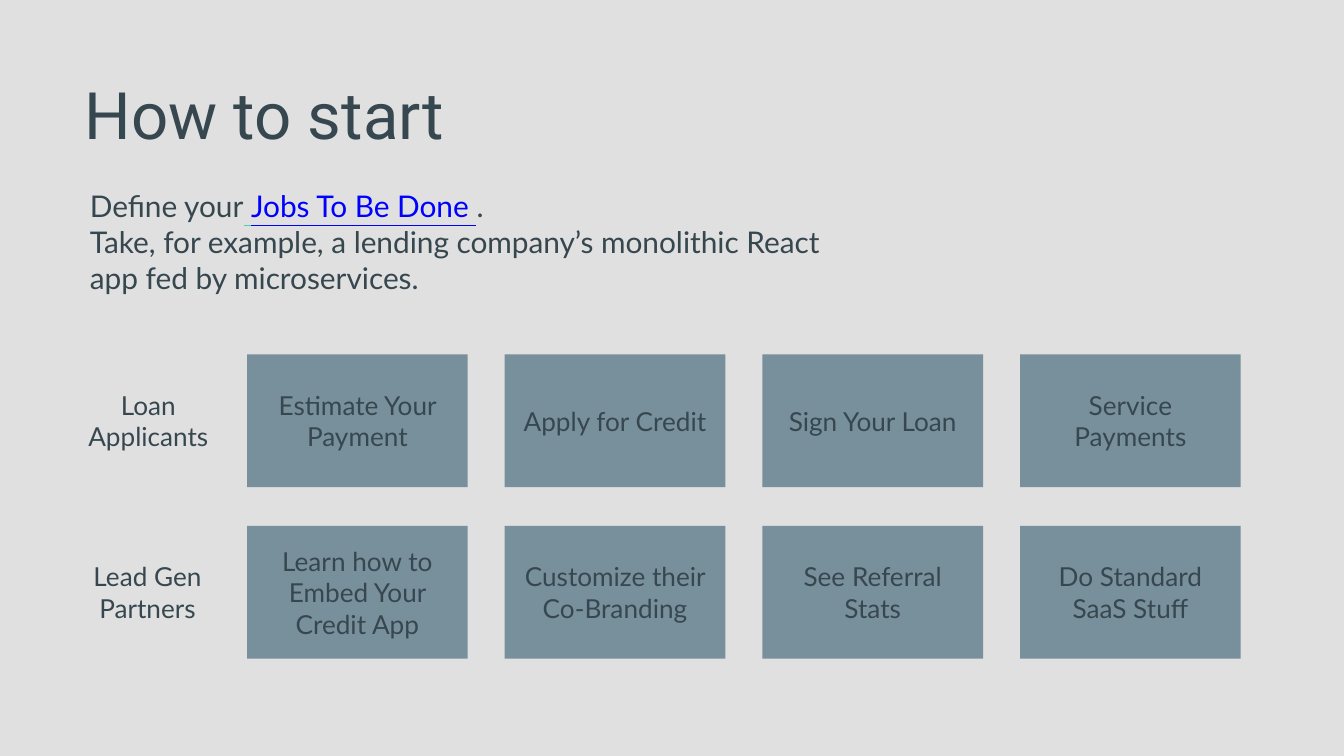
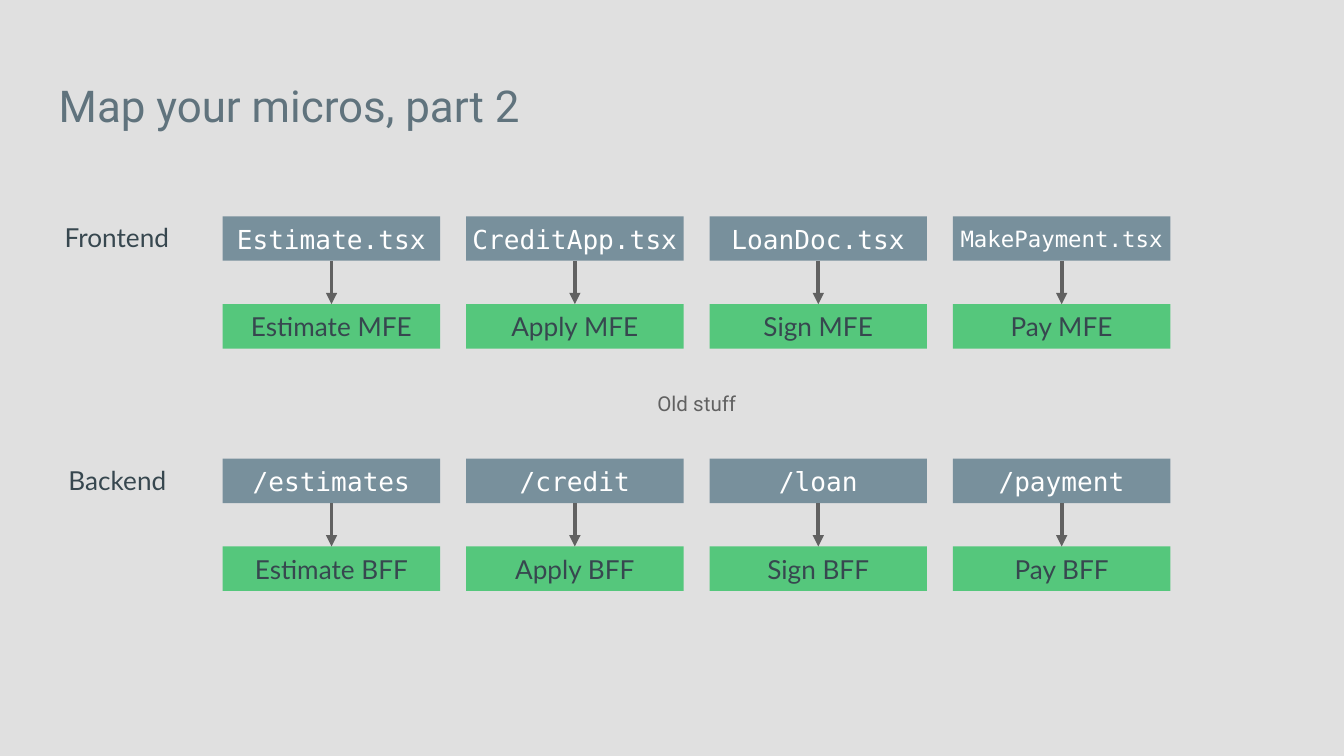
import pptx
import pptx.dml.color
import pptx.enum.shapes
import pptx.enum.text
import pptx.oxml
import pptx.oxml.ns
import pptx.util
from pptx.dml.color import RGBColor
from pptx.enum.text import MSO_ANCHOR, PP_ALIGN
from pptx.util import Cm

PAPER = RGBColor(0xE0, 0xE0, 0xE0)
INK = RGBColor(0x37, 0x47, 0x4F)
SOFT_INK = RGBColor(0x60, 0x73, 0x7D)
STEEL = RGBColor(0x78, 0x90, 0x9C)
GREEN = RGBColor(0x55, 0xC7, 0x7C)
MINT = RGBColor(0x50, 0xCC, 0xAE)
LINK_BLUE = RGBColor(0x00, 0x00, 0xFF)
GREY = RGBColor(0x61, 0x61, 0x61)
WHITE = RGBColor(0xFF, 0xFF, 0xFF)

TEXT_FONT = "Lato"
TITLE_FONT = "Roboto"
CODE_FONT = "DejaVu Sans Mono"
PADDING = 0.25

JOB_ROWS = [
    (["Loan", "Applicants"], 1.55, 2.51,
     ["Estimate Your Payment", "Apply for Credit", "Sign Your Loan", "Service Payments"]),
    (["Lead Gen", "Partners"], 1.7, 2.18,
     ["Learn how to Embed Your Credit App", "Customize their Co-Branding",
      "See Referral Stats", "Do Standard SaaS Stuff"]),
]
LAYERS = [
    ("Frontend", 1.12, 2.18, 4.09, "MFE",
     ["Estimate.tsx", "CreditApp.tsx", "LoanDoc.tsx", "MakePayment.tsx"]),
    ("Backend", 1.19, 2.06, 8.67, "BFF",
     ["/estimates", "/credit", "/loan", "/payment"]),
]
ACTIONS = ["Estimate", "Apply", "Sign", "Pay"]


def write_text(frame, lines, size=14, font=TEXT_FONT, color=INK, align=PP_ALIGN.CENTER,
               anchor=MSO_ANCHOR.MIDDLE, padding=0, wrap=True):
    frame.auto_size = pptx.enum.text.MSO_AUTO_SIZE.NONE
    frame.word_wrap = wrap
    frame.vertical_anchor = anchor
    frame.margin_left = frame.margin_right = Cm(padding)
    frame.margin_top = frame.margin_bottom = Cm(padding)
    for index, line in enumerate(lines):
        para = frame.add_paragraph() if index else frame.paragraphs[0]
        para.alignment = align
        para.space_before = pptx.util.Pt(0)
        spans = [(line, color, None)] if isinstance(line, str) else line
        for text, span_color, underline in spans:
            span = para.add_run()
            span.text = text
            span.font.size = pptx.util.Pt(size)
            span.font.name = font
            span.font.color.rgb = span_color
            span.font.underline = underline


def place(shape, left, top, width, height):
    shape.left, shape.top = Cm(left), Cm(top)
    shape.width, shape.height = Cm(width), Cm(height)


def set_title(page, text, position, **style):
    title = page.shapes.title
    place(title, *position)
    write_text(title.text_frame, [text], font=TITLE_FONT, align=PP_ALIGN.LEFT,
               padding=PADDING, **style)


def set_body(page, lines, position):
    body = page.placeholders[1]
    place(body, *position)
    write_text(body.text_frame, lines, size=16, align=PP_ALIGN.LEFT,
               anchor=MSO_ANCHOR.TOP, padding=PADDING)
    for para in body.text_frame.paragraphs:
        properties = para._p.get_or_add_pPr()
        properties.set("marL", "0")
        properties.set("indent", "0")
        properties.append(pptx.oxml.parse_xml(
            "<a:buNone %s/>" % pptx.oxml.ns.nsdecls("a")))


def add_label(page, lines, left, top, width, height, **style):
    label = page.shapes.add_textbox(Cm(left), Cm(top), Cm(width), Cm(height))
    write_text(label.text_frame, lines, anchor=MSO_ANCHOR.TOP, wrap=False, **style)


def add_box(page, text, left, top, width, height, fill, **style):
    box = page.shapes.add_shape(pptx.enum.shapes.MSO_SHAPE.RECTANGLE,
                                Cm(left), Cm(top), Cm(width), Cm(height))
    box.shadow.inherit = False
    box.fill.solid()
    box.fill.fore_color.rgb = fill
    box.line.fill.background()
    write_text(box.text_frame, [text], **style)
    return box


def add_arrow(page, upper, lower):
    arrow = page.shapes.add_connector(pptx.enum.shapes.MSO_CONNECTOR.STRAIGHT, 0, 0, 0, 0)
    arrow.begin_connect(upper, 2)
    arrow.end_connect(lower, 0)
    arrow.line.color.rgb = GREY
    arrow.line.width = pptx.util.Pt(2)
    namespace = pptx.oxml.ns.nsdecls("a")
    arrow.line._get_or_add_ln().append(
        pptx.oxml.parse_xml('<a:tailEnd %s type="triangle"/>' % namespace))
    arrow._element.spPr.append(pptx.oxml.parse_xml("<a:effectLst %s/>" % namespace))


def build_start(deck):
    page = deck.slides.add_slide(deck.slide_layouts[1])
    set_title(page, "How to start", (1.35, 0.2, 17.3, 3.89), size=35)
    set_body(page, [
        [("Define your", INK, None), (" ", MINT, True),
         ("Jobs To Be Done ", LINK_BLUE, True), (".", INK, None)],
        "Take, for example, a lending company’s monolithic React app fed by microservices.",
    ], (1.45, 3.3, 14.63, 2.51))
    for row, (people, left, width, jobs) in enumerate(JOB_ROWS):
        top = 6.7 + 3.24 * row
        add_label(page, people, left, top + 0.66, width, 1.19)
        for column, job in enumerate(jobs):
            add_box(page, job, 4.67 + 4.87 * column, top, 4.17, 2.51, STEEL, padding=PADDING)


def build_map(deck):
    page = deck.slides.add_slide(deck.slide_layouts[5])
    set_title(page, "Map your micros, part 2", (0.86, 1.24, 23.67, 1.6),
              size=23.5, color=SOFT_INK, anchor=MSO_ANCHOR.TOP)
    for layer, left, width, top, suffix, sources in LAYERS:
        add_label(page, [layer], left, top + 0.1, width, 0.61)
        for column, (source, action) in enumerate(zip(sources, ACTIONS)):
            box_left = 4.21 + 4.6 * column
            old = add_box(page, source, box_left, top, 4.11, 0.84, STEEL, font=CODE_FONT,
                          color=WHITE, size=12 if len(source) > 13 else 14)
            new = add_box(page, f"{action} {suffix}", box_left, top + 1.66, 4.11, 0.84, GREEN)
            add_arrow(page, old, new)
    add_label(page, ["Old stuff"], 12.37, 7.39, 1.6, 0.48,
              size=11, font=TITLE_FONT, color=GREY)


def main():
    deck = pptx.Presentation()
    deck.slide_width, deck.slide_height = Cm(25.4), Cm(14.29)
    backdrop = deck.slide_master.background.fill
    backdrop.solid()
    backdrop.fore_color.rgb = PAPER
    build_start(deck)
    build_map(deck)
    deck.save("out.pptx")


if __name__ == "__main__":
    main()
